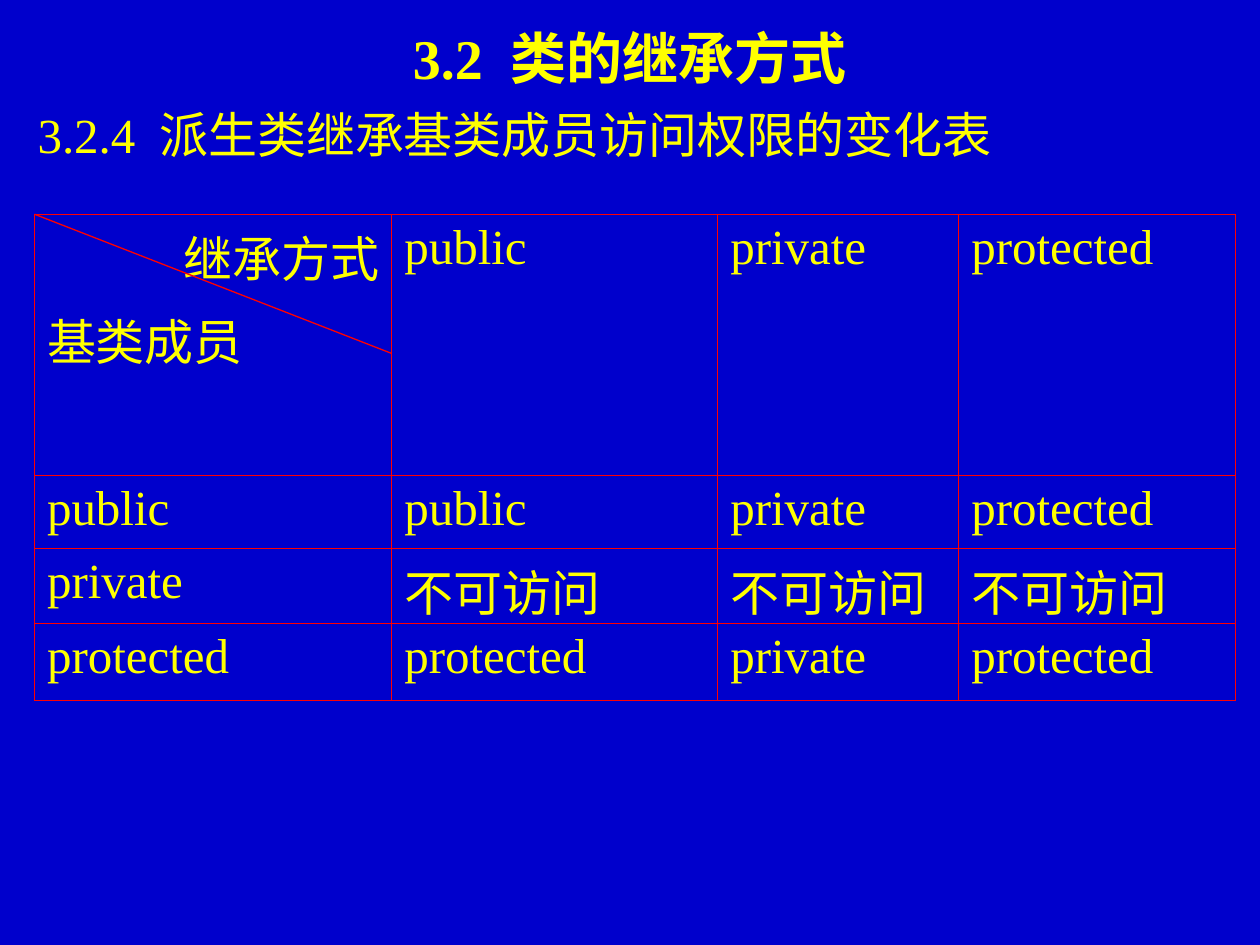
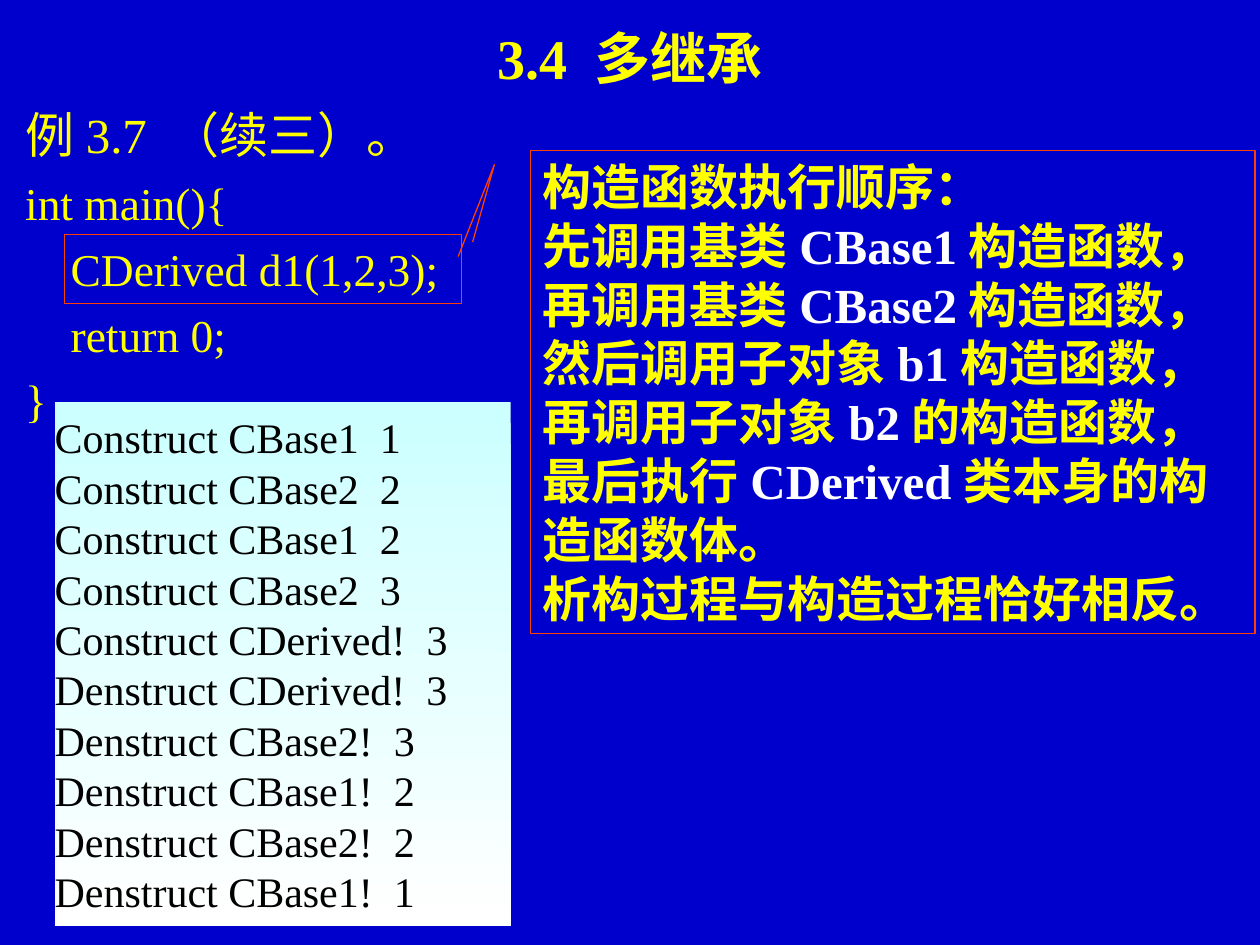
from lxml import etree
from pptx import Presentation
from pptx.dml.color import RGBColor
from pptx.enum.shapes import MSO_CONNECTOR, MSO_SHAPE
from pptx.enum.text import MSO_ANCHOR, MSO_AUTO_SIZE, PP_ALIGN
from pptx.oxml.ns import qn
from pptx.util import Pt

LEFT, CENTER, RIGHT = PP_ALIGN.LEFT, PP_ALIGN.CENTER, PP_ALIGN.RIGHT
TOP, MIDDLE = MSO_ANCHOR.TOP, MSO_ANCHOR.MIDDLE
FIT_SHAPE = MSO_AUTO_SIZE.SHAPE_TO_FIT_TEXT
RECTANGLE, CALLOUT = MSO_SHAPE.RECTANGLE, MSO_SHAPE.LINE_CALLOUT_2
STRAIGHT = MSO_CONNECTOR.STRAIGHT

BLUE = RGBColor(0x00, 0x00, 0xCC)
YELLOW = RGBColor(0xFF, 0xFF, 0x00)
WHITE = RGBColor(0xFF, 0xFF, 0xFF)
BLACK = RGBColor(0x00, 0x00, 0x00)
RED = RGBColor(0xFF, 0x00, 0x00)
ORANGE = RGBColor(0xFD, 0x3F, 0x03)
PALE_CYAN = RGBColor(0xCC, 0xFF, 0xFF)
LATIN_FONT, CHINESE_FONT = "Times New Roman", "Noto Sans CJK SC"


def set_up_frame(frame, side=7.2, end=3.6, anchor=TOP):
    frame.word_wrap = True
    frame.auto_size = FIT_SHAPE
    frame.vertical_anchor = anchor
    frame.margin_left = frame.margin_right = Pt(side)
    frame.margin_top = frame.margin_bottom = Pt(end)


def write(frame, lines, size=28, color=YELLOW, bold=False, align=LEFT, before=0):
    """Fill a text frame; in a line given as a list, every second part is white."""
    for index, line in enumerate(lines):
        paragraph = frame.add_paragraph() if index else frame.paragraphs[0]
        paragraph.alignment = align
        paragraph.space_before = Pt(before)
        parts = [line] if isinstance(line, str) else line
        for position, part in enumerate(parts):
            run = paragraph.add_run()
            run.text = part
            if position % 2:
                run.font.color.rgb = WHITE
        font = paragraph.font
        font.size, font.bold, font.name = Pt(size), bold, LATIN_FONT
        font.color.rgb = color
        defaults = paragraph._p.pPr.find(qn("a:defRPr"))
        etree.SubElement(defaults, qn("a:ea"), typeface=CHINESE_FONT)


prs = Presentation()
prs.slide_width, prs.slide_height = Pt(720), Pt(540)
prs.slide_master.background.fill.solid()
prs.slide_master.background.fill.fore_color.rgb = BLUE

# Both slides: body text under a centred section title
slides, bodies = [], []
for section, body_height, body_side, body_end in [
    ("3.2 类的继承方式", 42.5, 7.2, 3.6),
    ("3.4 多继承", 189.4, 0, 0),
]:
    slide = prs.slides.add_slide(prs.slide_layouts[6])
    body = slide.shapes.add_textbox(Pt(14.4), Pt(54.7), Pt(692), Pt(body_height))
    set_up_frame(body.text_frame, body_side, body_end)
    title = slide.shapes.add_textbox(0, Pt(9.4), Pt(720), Pt(46))
    set_up_frame(title.text_frame, anchor=MIDDLE)
    write(title.text_frame, [section], size=32, bold=True, align=CENTER)
    slides.append(slide)
    bodies.append(body.text_frame)
access_slide, example_slide = slides
access_heading, example_code = bodies

# Slide 1: access rights after inheritance
write(access_heading, ["3.2.4 派生类继承基类成员访问权限的变化表"])
access_heading.paragraphs[0].line_spacing = 1.05

ACCESS_ROWS = [
    ["", "public", "private", "protected"],
    ["public", "public", "private", "protected"],
    ["private", "不可访问", "不可访问", "不可访问"],
    ["protected", "protected", "private", "protected"],
]
COLUMN_WIDTHS = [204.2, 186.3, 137.7, 158.1]
ROW_HEIGHTS = [149.2, 41.7, 42.9, 43.9]
TABLE_LEFT, TABLE_TOP = 19.7, 122.4

access_table = access_slide.shapes.add_table(
    len(ROW_HEIGHTS), len(COLUMN_WIDTHS), Pt(TABLE_LEFT), Pt(TABLE_TOP),
    Pt(sum(COLUMN_WIDTHS)), Pt(sum(ROW_HEIGHTS))).table
access_table.first_row = access_table.horz_banding = False
for column, width in zip(access_table.columns, COLUMN_WIDTHS):
    column.width = Pt(width)
for row, height, texts in zip(access_table.rows, ROW_HEIGHTS, ACCESS_ROWS):
    row.height = Pt(height)
    for cell, text in zip(row.cells, texts):
        cell.margin_left = cell.margin_right = Pt(7.2)
        cell.margin_top = cell.margin_bottom = Pt(3.6)
        if text:
            write(cell.text_frame, [text], before=7)
        properties = cell._tc.get_or_add_tcPr()
        for side in ("lnL", "lnR", "lnT", "lnB"):
            border = etree.SubElement(properties, qn(f"a:{side}"), w=str(Pt(0.45)))
            border_fill = etree.SubElement(border, qn("a:solidFill"))
            etree.SubElement(border_fill, qn("a:srgbClr"), val=str(RED))
        cell.fill.background()

corner = access_table.cell(0, 0).text_frame
write(corner, ["继承方式", "基类成员"], before=7)
corner.paragraphs[0].alignment = RIGHT

diagonal = access_slide.shapes.add_connector(
    STRAIGHT, Pt(TABLE_LEFT), Pt(TABLE_TOP),
    Pt(TABLE_LEFT + COLUMN_WIDTHS[0]), Pt(202))
diagonal.line.color.rgb = RED
diagonal.line.width = Pt(0.75)
etree.SubElement(diagonal._element.spPr, qn("a:effectLst"))

# Slide 2: example code, its output and the order of construction
write(example_code, ["例3.7 （续三）。"])
example_code.paragraphs[0].line_spacing = 1.15
for code, indent in [("int main(){", 0), ("CDerived d1(1,2,3);", 26),
                     ("return 0;", 26), ("}", 0)]:
    paragraph = example_code.add_paragraph()
    paragraph.text = code
    paragraph.space_before = Pt(6.5)
    paragraph.font.size, paragraph.font.name = Pt(26), LATIN_FONT
    paragraph.font.color.rgb = YELLOW
    paragraph._p.get_or_add_pPr().set("marL", str(Pt(indent)))

declaration_frame = example_slide.shapes.add_shape(
    RECTANGLE, Pt(36.8), Pt(133.9), Pt(226.8), Pt(39.6))
order_callout = example_slide.shapes.add_shape(
    CALLOUT, Pt(303.2), Pt(85.8), Pt(414), Pt(276.3))
for index, value in enumerate([0.19, -0.08, 0.03, -0.05, 0.22, -0.1]):
    order_callout.adjustments[index] = value
for outlined in (declaration_frame, order_callout):
    outlined.shadow.inherit = False
    outlined.fill.background()
    outlined.line.color.rgb = ORANGE
    outlined.line.width = Pt(0.75)
set_up_frame(order_callout.text_frame)
write(order_callout.text_frame, [
    "构造函数执行顺序：",
    ["先调用基类", "CBase1", "构造函数，再调用基类", "CBase2",
     "构造函数，然后调用子对象", "b1", "构造函数，再调用子对象", "b2",
     "的构造函数，最后执行", "CDerived", "类本身的构造函数体。"],
    "析构过程与构造过程恰好相反。",
], bold=True)

program_output = example_slide.shapes.add_shape(
    RECTANGLE, Pt(31.2), Pt(229.7), Pt(260.6), Pt(299.5))
program_output.shadow.inherit = False
program_output.line.fill.background()
program_output.fill.gradient()
program_output.fill.gradient_angle = 270
for stop, color in zip(program_output.fill.gradient_stops, (PALE_CYAN, WHITE)):
    stop.color.rgb = color
set_up_frame(program_output.text_frame, side=0, end=5.8, anchor=MIDDLE)
write(program_output.text_frame, [
    "Construct CBase1  1",
    "Construct CBase2  2",
    "Construct CBase1  2",
    "Construct CBase2  3",
    "Construct CDerived!  3",
    "Denstruct CDerived!  3",
    "Denstruct CBase2!  3",
    "Denstruct CBase1!  2",
    "Denstruct CBase2!  2",
    "Denstruct CBase1!  1",
], size=24, color=BLACK)

prs.save("out.pptx")
